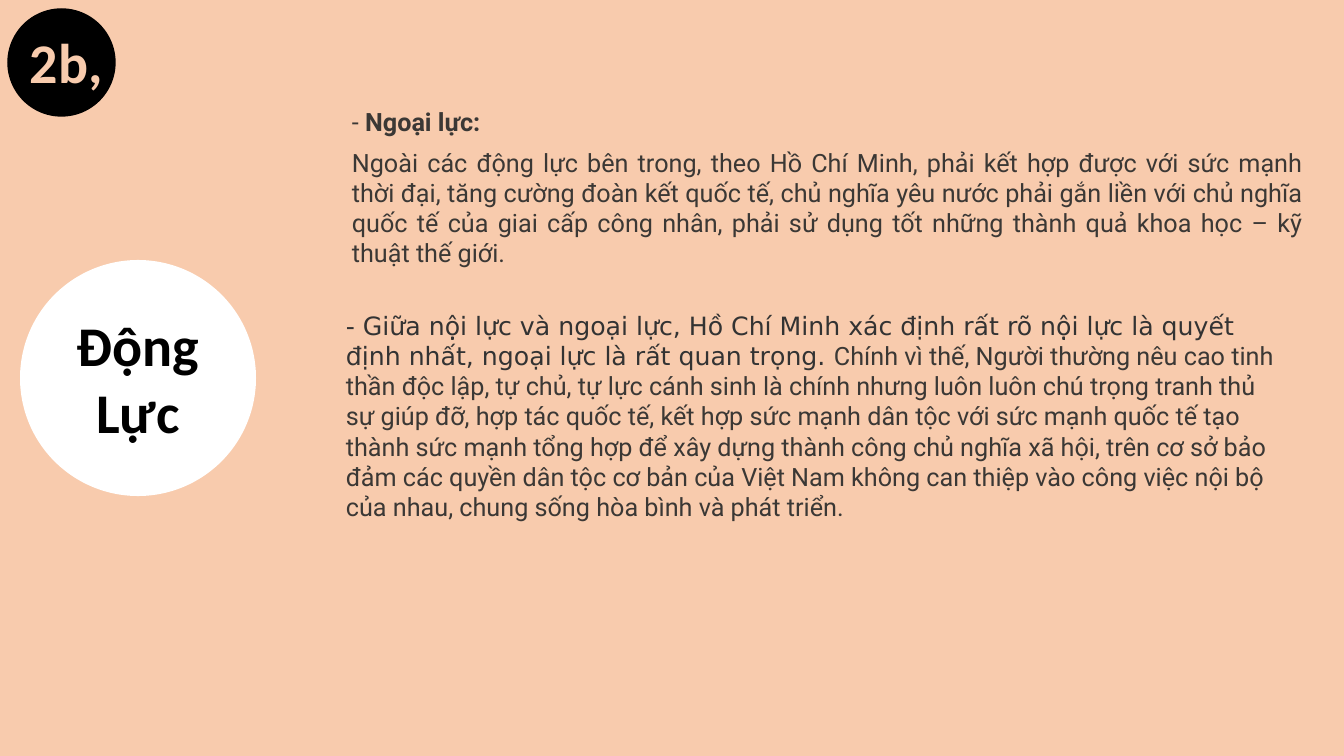
import pptx
import pptx.util
import pptx.dml.color
import pptx.enum.shapes
import pptx.enum.text

COLOURS = {
    "peach": "F8CBAD",
    "black": "000000",
    "white": "FFFFFF",
    "charcoal": "333333",
    "ink": "3B3835",
}

# Content: each text is a list of (wording, run format)
LABEL = {"size": 40, "font": "Calibri", "bold": True}
BODY = {"size": 18, "font": "Roboto", "colour": "ink"}
LEAD = {"size": 18, "font": "DejaVu Sans", "colour": "charcoal"}

NUMBER = [("2b,", {**LABEL, "colour": "peach"})]
TITLE = [("Động Lực", {**LABEL, "colour": "black"})]
HEADING = [("- ", BODY), ("Ngoại lực:", {**BODY, "bold": True})]
OUTER_FORCE = [(
    "Ngoài các động lực bên trong, theo Hồ Chí Minh, phải kết hợp được với sức mạnh "
    "thời đại, tăng cường đoàn kết quốc tế, chủ nghĩa yêu nước phải gắn liền với chủ nghĩa "
    "quốc tế của giai cấp công nhân, phải sử dụng tốt những thành quả khoa học – kỹ "
    "thuật thế giới.", BODY)]
BOTH_FORCES = [
    ("- Giữa nội lực và ngoại lực, Hồ Chí Minh xác định rất rõ nội lực là quyết "
     "định nhất, ngoại lực là rất quan trọng. ", LEAD),
    ("Chính vì thế, Người thường nêu cao tinh thần độc lập, tự chủ, tự lực cánh sinh là "
     "chính nhưng luôn luôn chú trọng tranh thủ sự giúp đỡ, hợp tác quốc tế, kết hợp sức "
     "mạnh dân tộc với sức mạnh quốc tế tạo thành sức mạnh tổng hợp để xây dựng thành công "
     "chủ nghĩa xã hội, trên cơ sở bảo đảm các quyền dân tộc cơ bản của Việt Nam không can "
     "thiệp vào công việc nội bộ của nhau, chung sống hòa bình và phát triển.", BODY),
]

# Layout in px: left, top, width, height
SLIDE_SIZE = (1344, 756)
CIRCLES = [((8, 9, 107, 107), "black"), ((20, 260, 236, 236), "white")]
TITLE_AREA = (46, 305, 184, 146)
TEXTS = [
    ((20, 23, 95, 78), NUMBER, "LEFT"),
    ((342, 101, 197, 40), HEADING, "LEFT"),
    ((342, 142, 971, 136), OUTER_FORCE, "JUSTIFY"),
    ((336, 305, 963, 224), BOTH_FORCES, "LEFT"),
]


def px(length):
    return pptx.util.Emu(round(length * 914400 / 100.8))


def rgb(name):
    return pptx.dml.color.RGBColor.from_string(COLOURS[name])


def write(box, spans, align="LEFT"):
    frame = box.text_frame
    frame.word_wrap = True
    frame.auto_size = pptx.enum.text.MSO_AUTO_SIZE.NONE
    frame.vertical_anchor = pptx.enum.text.MSO_ANCHOR.TOP
    para = frame.paragraphs[0]
    para.alignment = getattr(pptx.enum.text.PP_ALIGN, align)
    for wording, style in spans:
        add_span(para, wording, **style)


def add_span(para, text, size, font, colour, bold=False):
    span = para.add_run()
    span.text = text
    span.font.size = pptx.util.Pt(size)
    span.font.name = font
    span.font.bold = bold
    span.font.color.rgb = rgb(colour)


def add_circle(page, area, colour):
    circle = page.shapes.add_shape(
        pptx.enum.shapes.MSO_SHAPE.OVAL, *map(px, area))
    circle.shadow.inherit = False
    circle.fill.solid()
    circle.fill.fore_color.rgb = rgb(colour)
    circle.line.color.rgb = rgb(colour)
    circle.line.width = pptx.util.Pt(1)
    if colour == "white":
        circle.line.fill.background()


def main():
    deck = pptx.Presentation()
    deck.slide_width, deck.slide_height = map(px, SLIDE_SIZE)
    page = deck.slides.add_slide(deck.slide_layouts[5])
    page.background.fill.solid()
    page.background.fill.fore_color.rgb = rgb("peach")

    # Circles behind the number and the title
    for area, colour in CIRCLES:
        add_circle(page, area, colour)

    # Title, brought in front of its circle
    title = page.shapes.title
    title.left, title.top, title.width, title.height = map(px, TITLE_AREA)
    write(title, TITLE, "CENTER")
    title.element.getparent().append(title.element)

    # Number and body text
    for area, spans, align in TEXTS:
        write(page.shapes.add_textbox(*map(px, area)), spans, align)

    deck.save("out.pptx")


if __name__ == "__main__":
    main()
